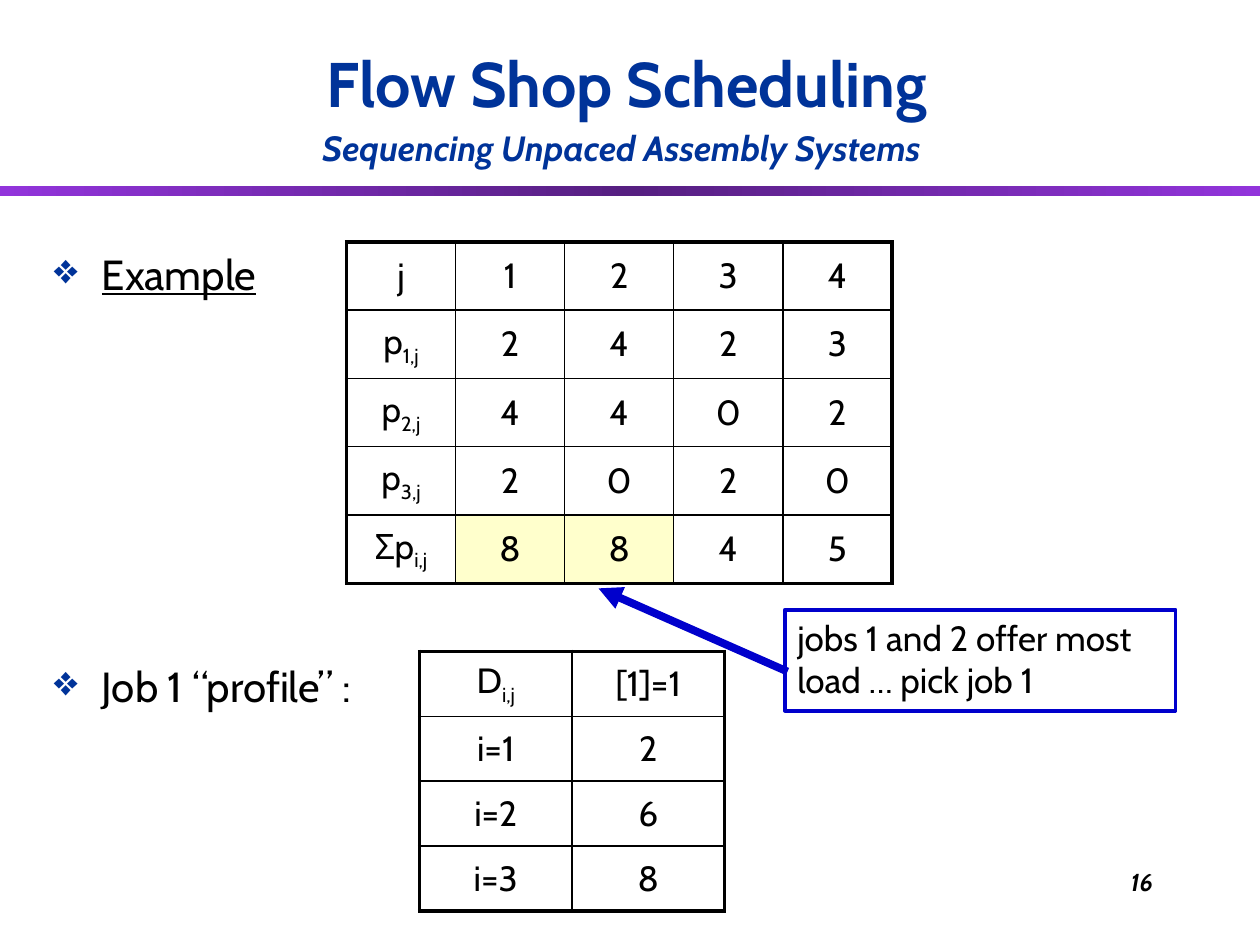
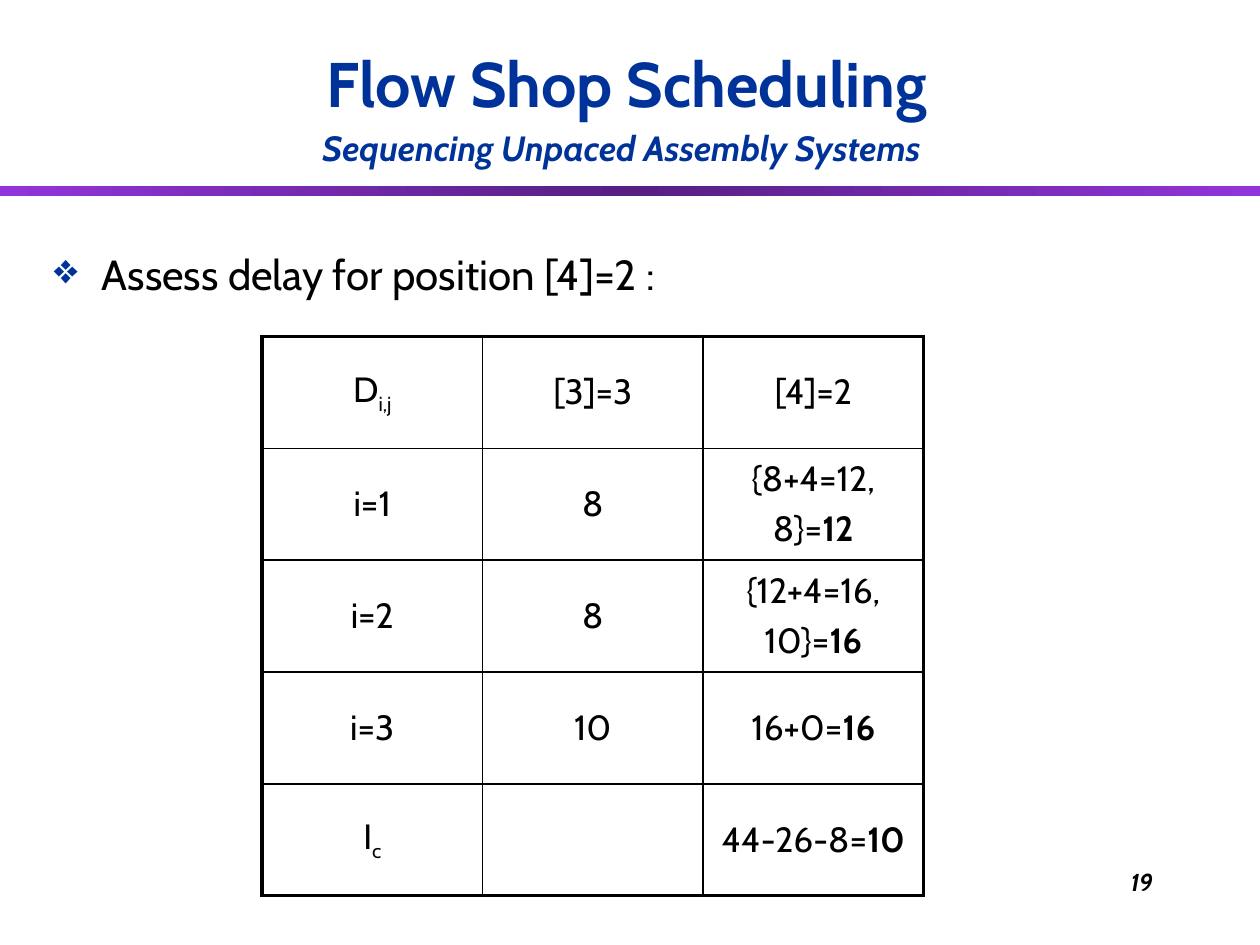
from dataclasses import dataclass

from lxml.etree import SubElement
from pptx import Presentation
from pptx.dml.color import RGBColor
from pptx.enum.shapes import MSO_CONNECTOR, MSO_SHAPE
from pptx.enum.text import MSO_ANCHOR, PP_ALIGN
from pptx.oxml.ns import qn
from pptx.util import Inches, Pt

FONT = "Cabin"
NAVY = "003399"
BLACK = "000000"
CALLOUT_BLUE = "0000CC"
HIGHLIGHT = "FFFFCC"
BAND_STOPS = ((0, "9234DB"), (50, "561F81"), (100, "9234DB"))
OUTER_LINE = 2.25
INNER_LINE = 1


@dataclass
class Span:
    text: str
    size: int = 20
    color: str = BLACK
    bold: bool = False
    italic: bool = False
    underline: bool = False
    subscript: bool = False
    font: str = FONT


def rgb(value):
    return RGBColor.from_string(value)


def add_spans(para, spans):
    for span in spans:
        run = para.add_run()
        run.text = span.text
        font = run.font
        font.name = span.font
        font.size = Pt(span.size)
        font.bold = span.bold
        font.italic = span.italic
        font.underline = span.underline
        font.color.rgb = rgb(span.color)
        if span.subscript:
            run._r.get_or_add_rPr().set("baseline", "-25000")


def fill_paragraphs(frame, paragraphs, align=PP_ALIGN.LEFT, gap=0):
    for index, spans in enumerate(paragraphs):
        para = frame.add_paragraph() if index else frame.paragraphs[0]
        para.alignment = align
        if index and gap:
            para.space_before = Pt(gap)
        add_spans(para, spans)


def add_text_box(page, left, top, width, height):
    box = page.shapes.add_textbox(
        Inches(left), Inches(top), Inches(width), Inches(height)
    )
    box.text_frame.word_wrap = True
    return box


def add_band(page):
    band = page.shapes.add_shape(
        MSO_SHAPE.RECTANGLE, 0, Inches(1.48), Inches(10), Inches(0.08)
    )
    band.shadow.inherit = False
    band.line.fill.background()
    band.fill.gradient()
    band.fill.gradient_angle = 0
    stops = band.fill._fill._gradFill.find(qn("a:gsLst"))
    for stop in list(stops):
        stops.remove(stop)
    for position, color in BAND_STOPS:
        stop = SubElement(stops, qn("a:gs"), pos=str(position * 1000))
        SubElement(stop, qn("a:srgbClr"), val=color)


def add_title(page):
    frame = add_text_box(page, 0.17, 0.33, 9.61, 1.07).text_frame
    frame.vertical_anchor = MSO_ANCHOR.BOTTOM
    para = frame.paragraphs[0]
    para.alignment = PP_ALIGN.CENTER
    add_spans(para, [Span("Flow Shop Scheduling", 36, NAVY, bold=True)])
    para.add_line_break()
    add_spans(para, [
        Span("Sequencing Unpaced Assembly Systems", 20, NAVY, bold=True, italic=True),
        Span(" ", 24, font="Times New Roman"),
    ])


def add_page_number(page, number):
    frame = add_text_box(page, 7.17, 6.83, 2.08, 0.5).text_frame
    span = Span(str(number), 14, bold=True, italic=True)
    fill_paragraphs(frame, [[span]], PP_ALIGN.RIGHT)


def add_bullet(page, top, text, underline=False):
    box = add_text_box(page, 0.33, top, 9.42, 0.5)
    para = box.text_frame.paragraphs[0]
    properties = para._p.get_or_add_pPr()
    indent = Inches(0.38)
    properties.set("marL", str(indent))
    properties.set("indent", str(-indent))
    color = SubElement(properties, qn("a:buClr"))
    SubElement(color, qn("a:srgbClr"), val=NAVY)
    SubElement(properties, qn("a:buChar"), char="❖")
    add_spans(para, [Span(text, 24, underline=underline)])


def set_borders(cell, outer_sides):
    properties = cell._tc.get_or_add_tcPr()
    for side in "LRTB":
        width = OUTER_LINE if side in outer_sides else INNER_LINE
        line = SubElement(properties, qn(f"a:ln{side}"), w=str(Pt(width)))
        fill = SubElement(line, qn("a:solidFill"))
        SubElement(fill, qn("a:srgbClr"), val=BLACK)


def cell_paragraphs(content):
    return [[Span(content)]] if isinstance(content, str) else content


def add_grid(page, left, top, width, height, rows, highlights=()):
    row_count, column_count = len(rows), len(rows[0])
    table = page.shapes.add_table(
        row_count, column_count,
        Inches(left), Inches(top), Inches(width), Inches(height),
    ).table
    table.first_row = False
    table.horz_banding = False
    for r, row in enumerate(rows):
        for c, content in enumerate(row):
            cell = table.cell(r, c)
            edges = {"L": c == 0, "R": c == column_count - 1,
                     "T": r == 0, "B": r == row_count - 1}
            set_borders(cell, [side for side, outer in edges.items() if outer])
            if (r, c) in highlights:
                cell.fill.solid()
                cell.fill.fore_color.rgb = rgb(HIGHLIGHT)
            else:
                cell.fill.background()
            cell.vertical_anchor = MSO_ANCHOR.MIDDLE
            if content:
                fill_paragraphs(
                    cell.text_frame, cell_paragraphs(content), PP_ALIGN.CENTER, gap=4
                )


def add_callout(page, lines):
    box = add_text_box(page, 6.23, 4.84, 3.1, 0.8)
    box.line.color.rgb = rgb(CALLOUT_BLUE)
    box.line.width = Pt(2.25)
    fill_paragraphs(box.text_frame, [[Span(line)] for line in lines])


def add_arrow(page, start, end):
    arrow = page.shapes.add_connector(
        MSO_CONNECTOR.STRAIGHT, *map(Inches, start), *map(Inches, end)
    )
    arrow.line.color.rgb = rgb(CALLOUT_BLUE)
    arrow.line.width = Pt(4.5)
    SubElement(arrow.line._get_or_add_ln(), qn("a:tailEnd"), type="triangle")
    SubElement(arrow._element.spPr, qn("a:effectLst"))


def symbol(base, index):
    return [[Span(base), Span(index, subscript=True)]]


def result(*lines, total):
    paragraphs = [[Span(line)] for line in lines]
    paragraphs[-1].append(Span(total, bold=True))
    return paragraphs


def add_page(deck, number):
    page = deck.slides.add_slide(deck.slide_layouts[6])
    add_band(page)
    add_page_number(page, number)
    add_title(page)
    return page


def add_example_page(deck):
    page = add_page(deck, 16)
    add_bullet(page, 1.92, "Example", underline=True)
    add_bullet(page, 5.19, "Job 1 “profile” :")
    processing_times = [
        ["j", "1", "2", "3", "4"],
        [symbol("p", "1,j"), "2", "4", "2", "3"],
        [symbol("p", "2,j"), "4", "4", "0", "2"],
        [symbol("p", "3,j"), "2", "0", "2", "0"],
        [symbol("Σp", "i,j"), "8", "8", "4", "5"],
    ]
    add_grid(page, 2.75, 1.92, 4.33, 2.71, processing_times, {(4, 1), (4, 2)})
    add_callout(page, ["jobs 1 and 2 offer most", "load … pick job 1"])
    add_arrow(page, (6.25, 5.33), (4.75, 4.67))
    job_profile = [
        [symbol("D", "i,j"), "[1]=1"],
        ["i=1", "2"],
        ["i=2", "6"],
        ["i=3", "8"],
    ]
    add_grid(page, 3.33, 5.17, 2.42, 2.06, job_profile)


def add_delay_page(deck):
    page = add_page(deck, 19)
    add_bullet(page, 1.92, "Assess delay for position [4]=2 :")
    delays = [
        [symbol("D", "i,j"), "[3]=3", "[4]=2"],
        ["i=1", "8", result("{8+4=12,", "8}=", total="12")],
        ["i=2", "8", result("{12+4=16,", "10}=", total="16")],
        ["i=3", "10", result("16+0=", total="16")],
        [symbol("I", "c"), "", result("44-26-8=", total="10")],
    ]
    add_grid(page, 2.08, 2.67, 5.25, 4.44, delays)


def main():
    deck = Presentation()
    deck.slide_width = Inches(10)
    deck.slide_height = Inches(7.5)
    add_example_page(deck)
    add_delay_page(deck)
    deck.save("out.pptx")


if __name__ == "__main__":
    main()
